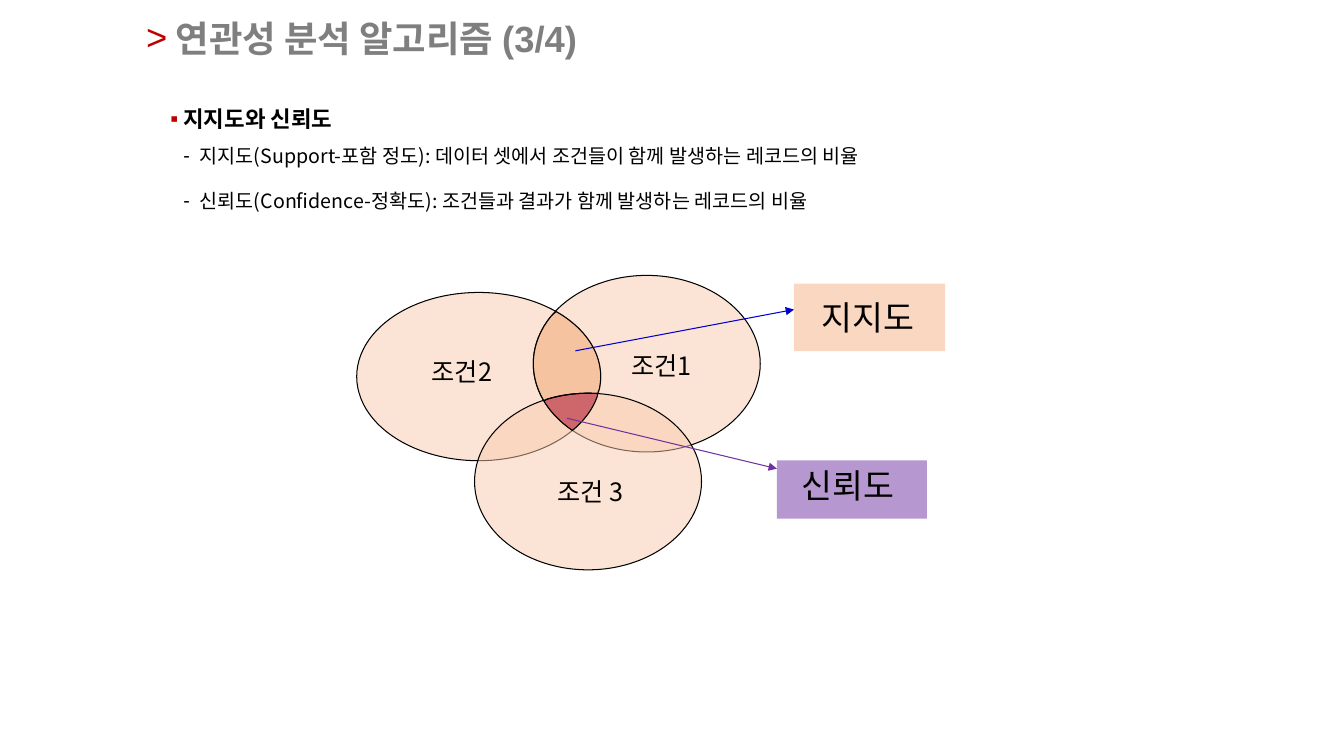
import math
import pptx
import pptx.dml.color
import pptx.enum.shapes
import pptx.enum.text
import pptx.oxml
import pptx.oxml.ns
import pptx.util

Cm = pptx.util.Cm
Pt = pptx.util.Pt
Shape = pptx.enum.shapes.MSO_SHAPE
Align = pptx.enum.text.PP_ALIGN
Anchor = pptx.enum.text.MSO_ANCHOR
KOREAN = "Noto Sans CJK KR"
names = pptx.oxml.ns.nsdecls("a")


def paint(fill, colour, alpha=100):
    fill.solid()
    fill.fore_color.rgb = pptx.dml.color.RGBColor.from_string(colour)
    if alpha < 100:
        tint = fill._xPr.find(".//" + pptx.oxml.ns.qn("a:srgbClr"))
        tint.append(pptx.oxml.parse_xml(f'<a:alpha {names} val="{alpha * 1000}"/>'))


def write(para, text, size=18, colour="000000", font=KOREAN, bold=False, align=Align.CENTER,
          spacing=1.0, before=0, bullet=None, bullet_colour="000000", left=0.0, hang=0.0):
    para.alignment = align
    para.line_spacing = spacing
    para.space_before = Pt(before)
    span = para.add_run()
    span.text = text
    span.font.size = Pt(size)
    span.font.bold = bold
    span.font.name = font
    paint(span.font.fill, colour)
    span.font._element.set("kern", "0")
    span.font._element.append(pptx.oxml.parse_xml(f'<a:ea {names} typeface="{KOREAN}"/>'))
    if bullet:
        layout = para._p.get_or_add_pPr()
        layout.set("marL", str(Cm(left)))
        layout.set("indent", str(-Cm(hang)))
        for mark in (f'<a:buClr {names}><a:srgbClr val="{bullet_colour}"/></a:buClr>',
                     f'<a:buFont {names} typeface="Arial"/>',
                     f'<a:buChar {names} char="{bullet}"/>'):
            layout.append(pptx.oxml.parse_xml(mark))


deck = pptx.Presentation()
deck.slide_width = Cm(33.87)
deck.slide_height = Cm(19.05)
page = deck.slides.add_slide(deck.slide_layouts[1])
title, body = page.placeholders

for holder, place in ((title, (3.43, 0.3, 23.22, 1.3)), (body, (4.04, 2.18, 26.06, 4.27))):
    holder.left, holder.top, holder.width, holder.height = map(Cm, place)
    holder.text_frame.auto_size = pptx.enum.text.MSO_AUTO_SIZE.NONE
title.text_frame.vertical_anchor = Anchor.MIDDLE
body.text_frame.vertical_anchor = Anchor.TOP

write(title.text_frame.paragraphs[0], "연관성 분석 알고리즘 (3/4)", size=26, colour="7F7F7F",
      font="Arial", bold=True, align=Align.LEFT, bullet=">", bullet_colour="C00000",
      left=0.74, hang=0.74)
write(body.text_frame.paragraphs[0], "지지도와 신뢰도", size=16, bold=True, align=Align.LEFT,
      spacing=1.5, bullet="▪", bullet_colour="C00000", left=0.33, hang=0.33)
for text, before in (
    ("지지도(Support-포함 정도): 데이터 셋에서 조건들이 함께 발생하는 레코드의 비율", 0),
    ("신뢰도(Confidence-정확도): 조건들과 결과가 함께 발생하는 레코드의 비율", 7),
):
    write(body.text_frame.add_paragraph(), text, size=14, align=Align.LEFT, spacing=1.5,
          before=before, bullet="-", left=0.74, hang=0.41)

ellipses = {
    "조건2": (8.99, 7.37, 6.15, 4.24),
    "조건1": (13.44, 6.94, 5.72, 4.45),
    "조건3": (11.96, 9.91, 5.72, 4.45),
}
panels = [
    (Shape.RECTANGLE, (19.58, 11.6, 3.78, 1.47), "7030A0"),
    (Shape.RECTANGLE, (20.01, 7.15, 3.81, 1.7), "F4B183"),
]
panels += [(Shape.OVAL, place, "F8CBAD") for place in ellipses.values()]
for kind, place, colour in panels:
    panel = page.shapes.add_shape(kind, *map(Cm, place))
    panel.shadow.inherit = False
    paint(panel.fill, colour, alpha=50)
    if kind == Shape.OVAL:
        paint(panel.line.fill, "000000")
        panel.line.width = Pt(0.75)
    else:
        panel.line.fill.background()

top, right, left, bottom = (14.02, 7.85), (15.06, 9.93), (13.72, 10.1), (14.43, 10.85)
overlaps = (
    ("F4B183", (("조건2", top, right), ("조건3", right, left), ("조건1", left, top))),
    ("A50021", (("조건1", left, bottom), ("조건2", bottom, right), ("조건3", right, left))),
)
for colour, arcs in overlaps:
    points = []
    for name, start, end in arcs:
        x, y, width, height = ellipses[name]
        middle_x, middle_y = x + width / 2, y + height / 2
        first, last = (math.atan2((v - middle_y) / height, (u - middle_x) / width)
                       for u, v in (start, end))
        sweep = math.remainder(last - first, math.tau)
        for step in range(16):
            angle = first + sweep * step / 16
            points.append((Cm(middle_x + width / 2 * math.cos(angle)),
                           Cm(middle_y + height / 2 * math.sin(angle))))
    builder = page.shapes.build_freeform(*points[0])
    builder.add_line_segments(points[1:], close=True)
    overlap = builder.convert_to_shape()
    overlap.shadow.inherit = False
    paint(overlap.fill, colour, alpha=50)
    paint(overlap.line.fill, "000000")
    overlap.line.width = Pt(0.75)

for ends, colour in (((14.5, 8.84, 20.01, 7.8), "0000CC"), ((14.29, 10.54, 19.58, 11.81), "7030A0")):
    arrow = page.shapes.add_connector(pptx.enum.shapes.MSO_CONNECTOR.STRAIGHT, *map(Cm, ends))
    paint(arrow.line.fill, colour)
    arrow.line.width = Pt(0.75)
    arrow.line._get_or_add_ln().append(
        pptx.oxml.parse_xml(f'<a:tailEnd {names} type="triangle"/>'))
    arrow._element.spPr.append(pptx.oxml.parse_xml(f"<a:effectLst {names}/>"))

for text, place, size in (
    ("조건1", (15.08, 8.71, 3.18, 1.02), 18),
    ("조건2", (10.05, 8.84, 3.18, 1.02), 18),
    ("조건 3", (13.28, 11.88, 3.18, 1.02), 18),
    ("지지도", (20, 7.35, 3.76, 1.27), 24),
    ("신뢰도", (19.58, 11.59, 3.58, 1.27), 24),
):
    box = page.shapes.add_textbox(*map(Cm, place))
    box.text_frame.word_wrap = True
    box.text_frame.vertical_anchor = Anchor.MIDDLE
    write(box.text_frame.paragraphs[0], text, size=size)

deck.save("out.pptx")
